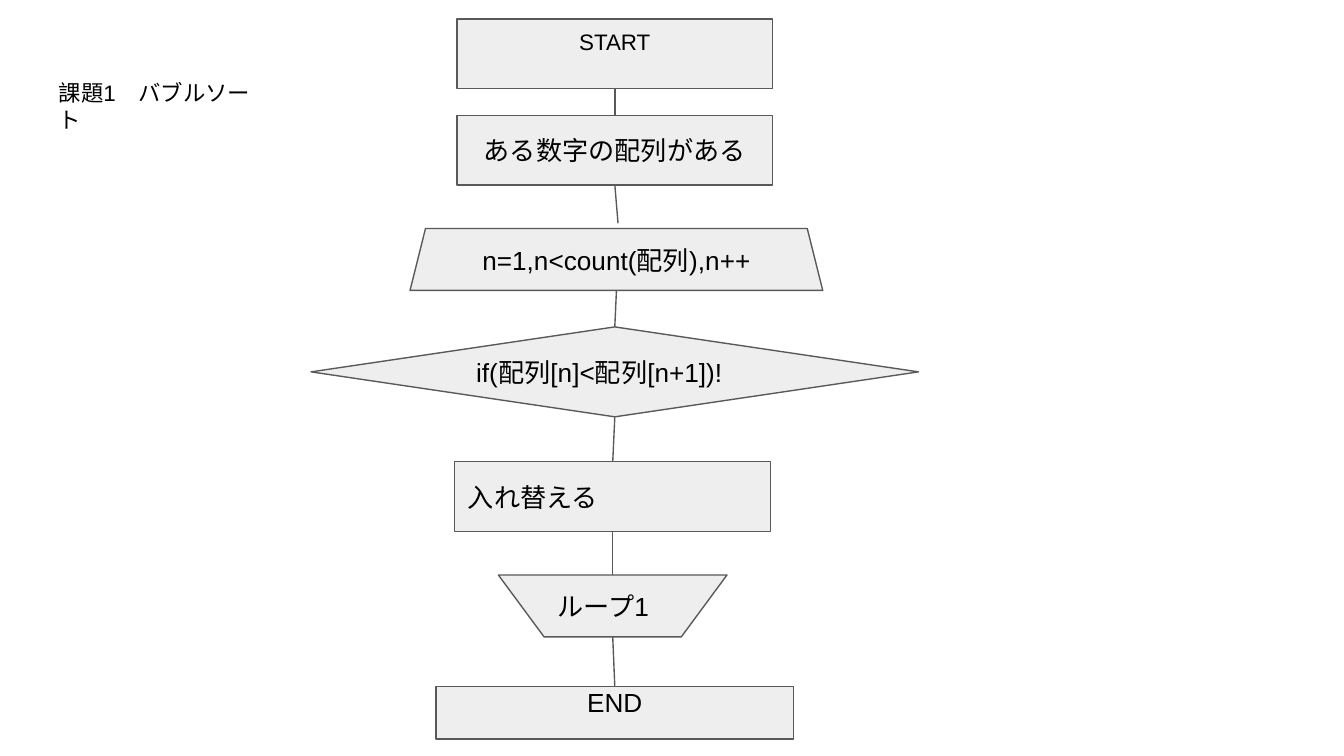
from dataclasses import dataclass
from typing import Any, Optional

import pptx
import pptx.dml.color
import pptx.enum.shapes
import pptx.enum.text
import pptx.oxml.ns
import pptx.util
from lxml import etree

Cm = pptx.util.Cm
Shapes = pptx.enum.shapes.MSO_SHAPE
Align = pptx.enum.text.PP_ALIGN
Anchor = pptx.enum.text.MSO_ANCHOR

COLOURS = {"text": "000000", "fill": "EEEEEE", "line": "595959"}
INSET = 0.25
LINE_WIDTH = 0.75
TOP, BOTTOM = 0, 2


@dataclass
class Step:
    """One flowchart box, in centimetres, placed by its centre line."""
    text: str
    top: float
    centre: float = 11.62
    width: float = 5.97
    height: float = 1.32
    kind: Any = Shapes.RECTANGLE
    size: int = 14
    align: Any = Align.CENTER
    anchor: Any = Anchor.MIDDLE
    top_inset: float = INSET
    loose_end: Optional[tuple[float, float]] = None  # where the line below stops


STEPS = [
    Step("START", 0.36, size=12, anchor=Anchor.TOP, top_inset=0.18),
    Step("ある数字の配列がある", 2.18, loose_end=(11.68, 4.22)),
    Step("n=1,n<count(配列),n++", 4.32, centre=11.65, width=7.8, height=1.17,
         kind=Shapes.TRAPEZOID),
    Step("if(配列[n]<配列[n+1])!", 6.18, width=11.48, height=1.7,
         kind=Shapes.DIAMOND, align=Align.LEFT),
    Step("入れ替える", 8.73, centre=11.58, align=Align.LEFT),
    Step("ループ1", 10.87, centre=11.58, width=4.32, height=1.17,
         kind=Shapes.FLOWCHART_MANUAL_OPERATION, align=Align.LEFT),
    Step("END", 12.98, width=6.76, height=0.99, anchor=Anchor.TOP, top_inset=0),
]


def colour(name: str) -> pptx.dml.color.RGBColor:
    return pptx.dml.color.RGBColor.from_string(COLOURS[name])


def write_text(shape, text: str, *, size: int = 14, align=Align.LEFT,
               anchor=Anchor.MIDDLE, top_inset: float = INSET) -> None:
    frame = shape.text_frame
    frame.word_wrap = True
    frame.vertical_anchor = anchor
    frame.margin_left = frame.margin_right = frame.margin_bottom = Cm(INSET)
    frame.margin_top = Cm(top_inset)
    paragraph = frame.paragraphs[0]
    paragraph.alignment = align
    run = paragraph.add_run()
    run.text = text
    run.font.name = "Arial"
    run.font.size = pptx.util.Pt(size)
    run.font.color.rgb = colour("text")


def style_line(line) -> None:
    line.color.rgb = colour("line")
    line.width = pptx.util.Pt(LINE_WIDTH)


def draw_step(slide, step: Step):
    shape = slide.shapes.add_shape(
        step.kind, Cm(step.centre - step.width / 2), Cm(step.top),
        Cm(step.width), Cm(step.height))
    shape.shadow.inherit = False
    shape.fill.solid()
    shape.fill.fore_color.rgb = colour("fill")
    style_line(shape.line)
    write_text(shape, step.text, size=step.size, align=step.align,
               anchor=step.anchor, top_inset=step.top_inset)
    return shape


def draw_link(slide, upper, lower, loose_end: Optional[tuple[float, float]]) -> None:
    end_x, end_y = loose_end or (0, 0)
    connector = slide.shapes.add_connector(
        pptx.enum.shapes.MSO_CONNECTOR.STRAIGHT, 0, 0, Cm(end_x), Cm(end_y))
    connector.begin_connect(upper, BOTTOM)
    if loose_end is None:
        connector.end_connect(lower, TOP)
    style_line(connector.line)
    properties = connector._element.spPr
    etree.SubElement(properties, pptx.oxml.ns.qn("a:effectLst"))


def main() -> None:
    presentation = pptx.Presentation()
    presentation.slide_width = Cm(25.4)
    presentation.slide_height = Cm(14.29)
    slide = presentation.slides.add_slide(presentation.slide_layouts[6])

    # Heading
    heading = slide.shapes.add_textbox(Cm(0.86), Cm(1.24), Cm(4.45), Cm(0.94))
    write_text(heading, "課題1\u3000バブルソート".replace("\u3000", "　"), size=12,
               anchor=Anchor.TOP)

    # Flowchart boxes
    shapes = [draw_step(slide, step) for step in STEPS]

    # Lines from each box to the next
    for step, upper, lower in zip(STEPS, shapes, shapes[1:]):
        draw_link(slide, upper, lower, step.loose_end)

    presentation.save("out.pptx")


if __name__ == "__main__":
    main()
